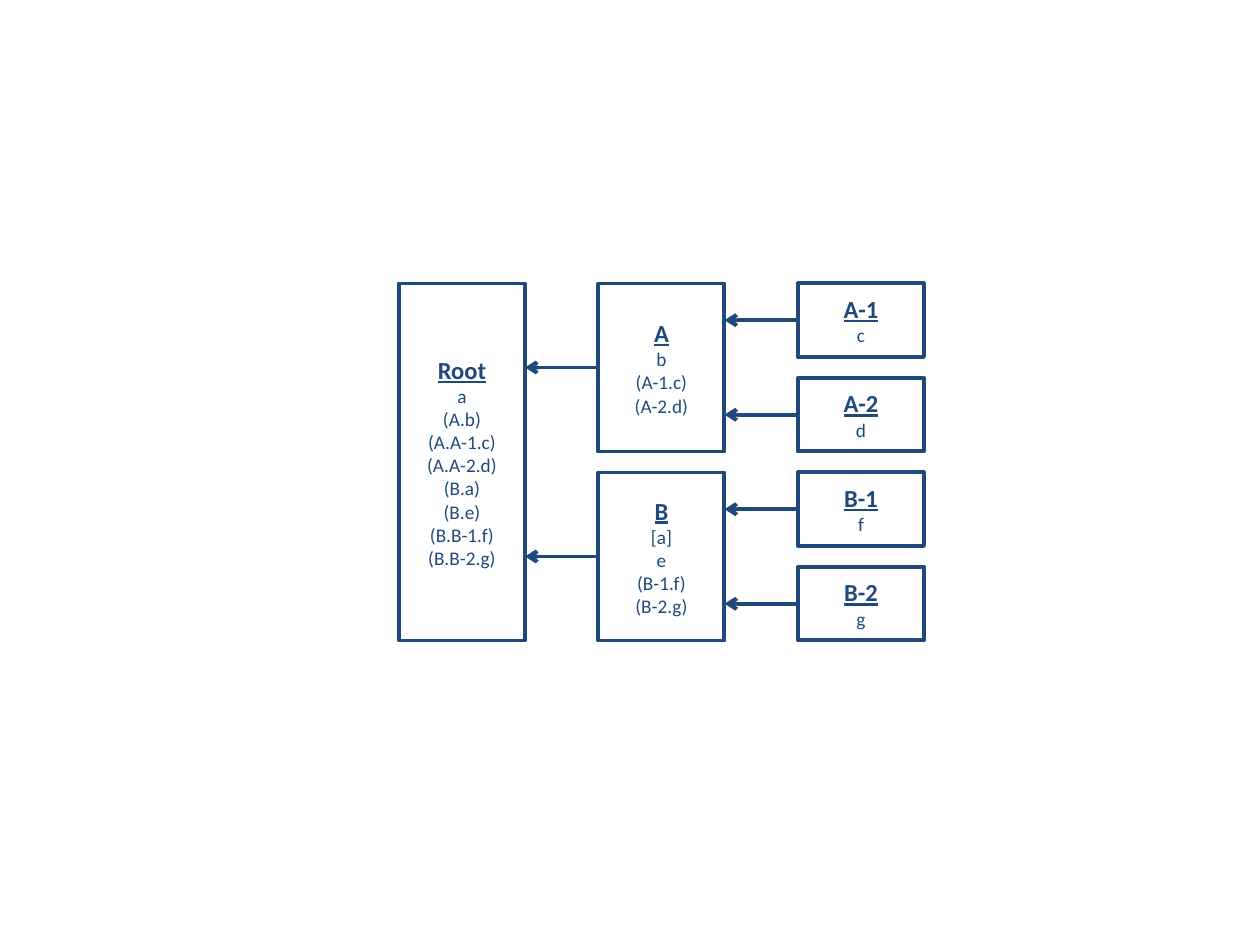
import pptx
import pptx.dml.color
import pptx.enum.shapes
import pptx.enum.text
import pptx.oxml
import pptx.oxml.ns
import pptx.util

Pt = pptx.util.Pt

LEFT, TOP = 228, 162
BOX_WIDTH, COLUMN_GAP = 72, 42
ROW_HEIGHT, ROW_GAP = 42, 12

# Column, first row, rows spanned, heading, entries
NODES = [
    (0, 0, 4, "Root", ["a", "(A.b)", "(A.A-1.c)", "(A.A-2.d)",
                       "(B.a)", "(B.e)", "(B.B-1.f)", "(B.B-2.g)"]),
    (1, 0, 2, "A", ["b", "(A-1.c)", "(A-2.d)"]),
    (1, 2, 2, "B", ["[a]", "e", "(B-1.f)", "(B-2.g)"]),
    (2, 0, 1, "A-1", ["c"]),
    (2, 1, 1, "A-2", ["d"]),
    (2, 2, 1, "B-1", ["f"]),
    (2, 3, 1, "B-2", ["g"]),
]


def colour(hex_text):
    """Turn a hex string into a colour."""
    return pptx.dml.color.RGBColor.from_string(hex_text)


def apply(target, values):
    """Set each attribute named in a dict of format values."""
    for name, value in values.items():
        setattr(target, name, value)


class TreePage:
    """Holds the style and the current slide of the tree diagram."""

    ink = "1F497D"
    line_width = 2.25
    heading = {"name": "Calibri", "size": Pt(14), "bold": True, "underline": True}
    entry = {"name": "Calibri", "size": Pt(11), "bold": False, "underline": False}
    frame = {"word_wrap": True,
             "vertical_anchor": pptx.enum.text.MSO_ANCHOR.MIDDLE}

    def __init__(self, deck):
        """Add a blank slide to the deck."""
        self.page = deck.slides.add_slide(deck.slide_layouts[6])

    def draw_line(self, line):
        """Give an outline or connector the diagram's stroke."""
        line.color.rgb = colour(self.ink)
        line.width = Pt(self.line_width)

    def add_node(self, left, top, width, height, title, entries):
        """Add an outlined box with a heading above its entries."""
        box = self.page.shapes.add_shape(
            pptx.enum.shapes.MSO_SHAPE.RECTANGLE,
            Pt(left), Pt(top), Pt(width), Pt(height))
        box.shadow.inherit = False
        box.fill.background()
        self.draw_line(box.line)
        apply(box.text_frame, self.frame)
        for index, text in enumerate([title] + entries):
            para = (box.text_frame.add_paragraph() if index
                    else box.text_frame.paragraphs[0])
            para.alignment = pptx.enum.text.PP_ALIGN.CENTER
            span = para.add_run()
            span.text = text
            apply(span.font, self.entry if index else self.heading)
            span.font.color.rgb = colour(self.ink)
        return box

    def add_arrow(self, box, length):
        """Add an arrow leading left from the middle of a box's left side."""
        middle = box.top + box.height // 2
        arrow = self.page.shapes.add_connector(
            pptx.enum.shapes.MSO_CONNECTOR.STRAIGHT,
            box.left, middle, box.left - Pt(length), middle)
        arrow.begin_connect(box, 1)
        self.draw_line(arrow.line)
        head = pptx.oxml.parse_xml(
            '<a:tailEnd %s type="arrow"/>' % pptx.oxml.ns.nsdecls("a"))
        arrow.line._get_or_add_ln().append(head)
        arrow._element.spPr.append(pptx.oxml.parse_xml(
            "<a:effectLst %s/>" % pptx.oxml.ns.nsdecls("a")))


def main():
    """Build the tree of nodes and save the deck."""
    deck = pptx.Presentation()
    apply(deck, {"slide_width": Pt(720), "slide_height": Pt(540)})
    tree = TreePage(deck)
    row_pitch = ROW_HEIGHT + ROW_GAP
    for column, row, rows, title, entries in NODES:
        box = tree.add_node(
            LEFT + column * (BOX_WIDTH + COLUMN_GAP), TOP + row * row_pitch,
            BOX_WIDTH, rows * row_pitch - ROW_GAP, title, entries)
        if column:
            tree.add_arrow(box, COLUMN_GAP)
    deck.save("out.pptx")


main()
